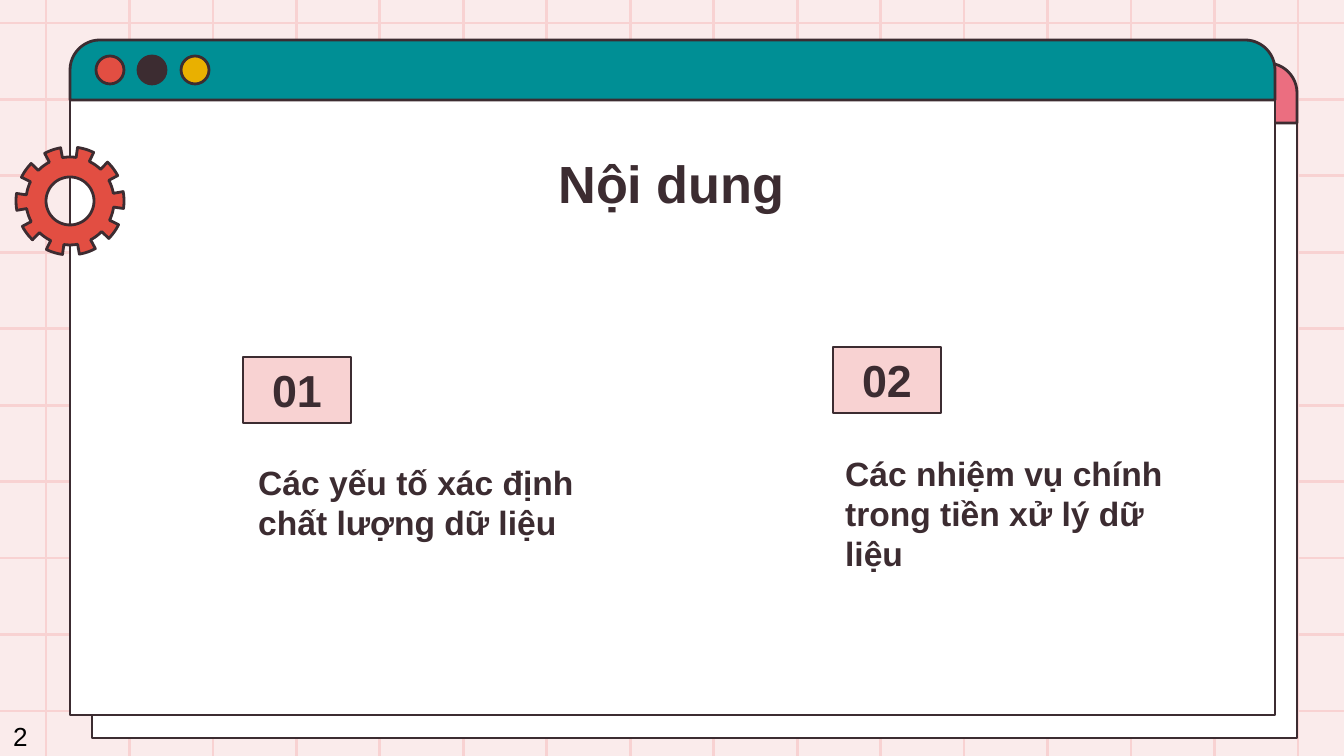
import math

import lxml.etree
import pptx
import pptx.dml.color
import pptx.enum.shapes
import pptx.enum.text
import pptx.oxml.ns
import pptx.util

WIDTH, HEIGHT = 1344, 756
PX = pptx.util.Inches(10) / WIDTH
COLORS = {
    "background": "FAEBEB", "pink": "F8D2D2", "dark": "3C2C31", "white": "FFFFFF",
    "rose": "EB6E80", "teal": "008F95", "red": "E24E42", "yellow": "E9B000",
    "black": "000000",
}
SHAPES = pptx.enum.shapes.MSO_SHAPE
ANCHORS = pptx.enum.text.MSO_ANCHOR
ALIGNMENTS = pptx.enum.text.PP_ALIGN


def rgb(name):
    return pptx.dml.color.RGBColor.from_string(COLORS[name])


def style(shape, fill):
    """Give a shape a flat fill and the dark outline."""
    shape.shadow.inherit = False
    shape.fill.solid()
    shape.fill.fore_color.rgb = rgb(fill)
    shape.line.color.rgb = rgb("dark")
    shape.line.width = pptx.util.Pt(1.5)


presentation = pptx.Presentation()
presentation.slide_width = round(WIDTH * PX)
presentation.slide_height = round(HEIGHT * PX)
slide = presentation.slides.add_slide(presentation.slide_layouts[6])
slide.background.fill.solid()
slide.background.fill.fore_color.rgb = rgb("background")

# Background grid
grid_lines = [(46 + 1252 * i / 15, 0, 46 + 1252 * i / 15, HEIGHT) for i in range(16)]
grid_lines += [(0, 23 + 688 * i / 9, WIDTH, 23 + 688 * i / 9) for i in range(10)]
for ends in grid_lines:
    line = slide.shapes.add_connector(
        pptx.enum.shapes.MSO_CONNECTOR.STRAIGHT, *[round(end * PX) for end in ends])
    line.line.color.rgb = rgb("pink")
    line.line.width = pptx.util.Pt(1.5)
    properties = line.element.spPr
    lxml.etree.SubElement(properties, pptx.oxml.ns.qn("a:effectLst"))

# Two stacked browser windows
for left, top, header_color in [(92, 63, "rose"), (70, 40, "teal")]:
    parts = [
        (SHAPES.RECTANGLE, left, top + 60, 1205, 615, "white"),
        (SHAPES.ROUND_2_SAME_RECTANGLE, left, top, 1205, 60, header_color),
    ]
    for i, button_color in enumerate(["red", "dark", "yellow"]):
        parts.append((SHAPES.OVAL, left + 26 + 85 * i // 2, top + 16, 28, 28, button_color))
    for kind, *box, fill in parts:
        shape = slide.shapes.add_shape(kind, *[round(length * PX) for length in box])
        style(shape, fill)
        if kind == SHAPES.ROUND_2_SAME_RECTANGLE:
            shape.adjustments[0] = 0.5

# Title, section numbers, section names and slide number
texts = [
    ("Nội dung", (131, 138, 1081, 85), 28, ANCHORS.TOP, ALIGNMENTS.CENTER, None),
    ("01", (243, 357, 108, 66), 24, ANCHORS.MIDDLE, ALIGNMENTS.CENTER, "pink"),
    ("02", (833, 347, 108, 66), 24, ANCHORS.MIDDLE, ALIGNMENTS.CENTER, "pink"),
    ("Các yếu tố xác định chất lượng dữ liệu", (245, 446, 349, 110), 18,
     ANCHORS.BOTTOM, ALIGNMENTS.LEFT, None),
    ("Các nhiệm vụ chính trong tiền xử lý dữ liệu", (832, 477, 349, 110), 18,
     ANCHORS.BOTTOM, ALIGNMENTS.LEFT, None),
    ("2", (0, 714, 42, 46), 14, ANCHORS.TOP, ALIGNMENTS.LEFT, None),
]
for text, box, size, anchor, alignment, fill in texts:
    box = [round(length * PX) for length in box]
    if fill:
        shape = slide.shapes.add_shape(SHAPES.RECTANGLE, *box)
        style(shape, fill)
    else:
        shape = slide.shapes.add_textbox(*box)
    is_slide_number = size == 14
    frame = shape.text_frame
    frame.word_wrap = True
    frame.vertical_anchor = anchor
    frame.margin_left = frame.margin_right = pptx.util.Inches(0.1)
    frame.margin_top = frame.margin_bottom = pptx.util.Inches(0.05 if is_slide_number else 0.1)
    paragraph = frame.paragraphs[0]
    paragraph.text = text
    paragraph.alignment = alignment
    paragraph.font.name = "Arial"
    paragraph.font.size = pptx.util.Pt(size)
    paragraph.font.bold = not is_slide_number
    paragraph.font.color.rgb = rgb("black" if is_slide_number else "dark")

# Gear: ten teeth around a round hole
gear_polar = []
for tooth in range(10):
    middle = 36 * tooth - 1
    gear_polar += [(54, middle + angle) for angle in range(-9, 10, 3)]
    gear_polar += [(44, middle + angle) for angle in range(9, 28, 3)]
hole_polar = [(24, angle) for angle in range(360, 0, -6)]
gear_points, hole_points = [
    [((70 + radius * math.cos(math.radians(angle))) * PX,
      (201 + radius * math.sin(math.radians(angle))) * PX) for radius, angle in polar]
    for polar in (gear_polar, hole_polar)
]
builder = slide.shapes.build_freeform(*gear_points[0])
builder.add_line_segments(gear_points[1:])
builder.move_to(*hole_points[0])
builder.add_line_segments(hole_points[1:])
style(builder.convert_to_shape(), "red")

presentation.save("out.pptx")
